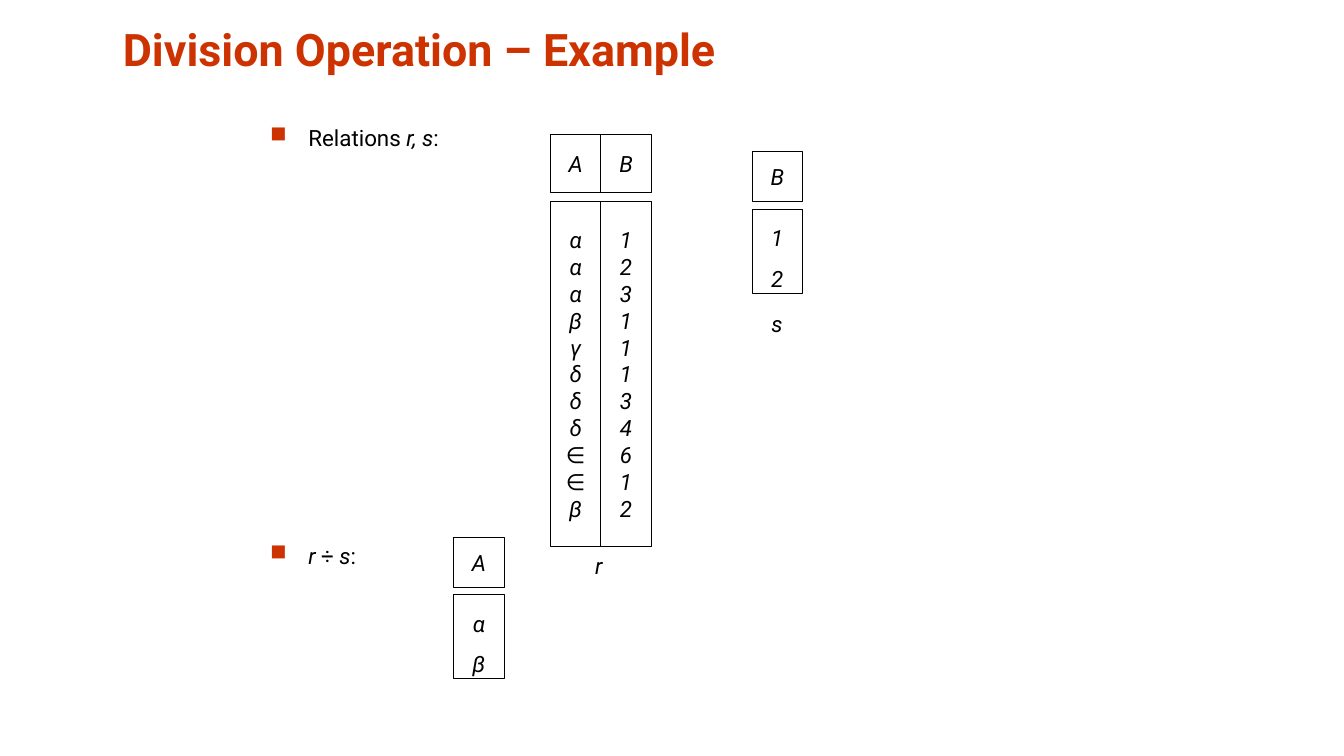
from lxml.etree import SubElement
from pptx import Presentation
from pptx.dml.color import RGBColor
from pptx.enum.shapes import MSO_SHAPE
from pptx.enum.text import MSO_ANCHOR, PP_ALIGN
from pptx.oxml.ns import qn
from pptx.util import Inches, Pt

RED = RGBColor(0xCC, 0x33, 0x00)
BLACK = RGBColor(0, 0, 0)
WHITE = RGBColor(0xFF, 0xFF, 0xFF)
FONT = "Roboto"
COLUMN_WIDTH = 0.5
BULLET_INDENT = 0.38


def style(font, size=16, color=BLACK, bold=False, italic=False):
    """Apply the slide's typeface with the given size, colour and emphasis."""
    font.name = FONT
    font.size = Pt(size)
    font.color.rgb = color
    font.bold = bold
    font.italic = italic


def add_text(slide, left, top, width, height, anchor, wrap=True):
    """Add an empty text box and return its text frame."""
    box = slide.shapes.add_textbox(*map(Inches, (left, top, width, height)))
    frame = box.text_frame
    frame.word_wrap = wrap
    frame.vertical_anchor = anchor
    return frame


def add_title(slide, left, top, width, height, wording):
    """Write the slide heading at the bottom of its box."""
    heading = add_text(slide, left, top, width, height, MSO_ANCHOR.BOTTOM).paragraphs[0]
    heading.text = wording
    style(heading.font, 32, RED, bold=True)


def add_bullet(slide, left, top, width, height, pieces):
    """Write a square-bulleted line from (wording, italic) pieces."""
    line = add_text(slide, left, top, width, height, MSO_ANCHOR.TOP).paragraphs[0]
    for wording, italic in pieces:
        run = line.add_run()
        run.text = wording
        style(run.font, italic=italic)
    properties = line._p.get_or_add_pPr()
    properties.set("marL", str(Inches(BULLET_INDENT)))
    properties.set("indent", str(-Inches(BULLET_INDENT)))
    bullet_color = SubElement(properties, qn("a:buClr"))
    SubElement(bullet_color, qn("a:srgbClr"), val=str(RED))
    SubElement(properties, qn("a:buChar"), char="■")


def add_cell(slide, left, top, height, values, spacing):
    """Draw one outlined box holding a centred value per line."""
    cell = slide.shapes.add_shape(
        MSO_SHAPE.RECTANGLE, *map(Inches, (left, top, COLUMN_WIDTH, height)))
    cell.shadow.inherit = False
    cell.fill.solid()
    cell.fill.fore_color.rgb = WHITE
    cell.line.color.rgb = BLACK
    cell.line.width = Pt(0.75)
    frame = cell.text_frame
    frame.word_wrap = False
    frame.vertical_anchor = MSO_ANCHOR.MIDDLE
    frame.text = "\n".join(values)
    for paragraph in frame.paragraphs:
        paragraph.alignment = PP_ALIGN.CENTER
        paragraph.line_spacing = spacing
        style(paragraph.font, italic=True)


def add_relation(slide, left, top, columns, header_height, body_top, body_height, spacing=1.0):
    """Draw a relation as attribute boxes above boxes of values."""
    for index, (attribute, values) in enumerate(columns):
        column_left = left + index * COLUMN_WIDTH
        add_cell(slide, column_left, top, header_height, [attribute], 1.0)
        add_cell(slide, column_left, top + body_top, body_height, values, spacing)


def add_relation_name(slide, left, top, width, height, name):
    """Write a relation's name centred in its box."""
    label = add_text(slide, left, top, width, height, MSO_ANCHOR.MIDDLE, wrap=False).paragraphs[0]
    label.text = name
    label.alignment = PP_ALIGN.CENTER
    style(label.font, italic=True)


def build_division_slide(presentation):
    """Lay out the operands and the result of the division."""
    slide = presentation.slides.add_slide(presentation.slide_layouts[6])
    add_title(slide, 1.12, 0.13, 11.78, 0.67, "Division Operation – Example")
    add_bullet(slide, 2.58, 1.18, 7.69, 0.36,
               [("Relations ", False), ("r, s", True), (":", False)])
    add_bullet(slide, 2.58, 5.33, 7.69, 0.36,
               [("r ", True), ("÷ ", False), ("s", True), (":", False)])
    add_relation(slide, 4.5, 5.33, [("A", "αβ")], 0.5, 0.57, 0.83, 1.5)
    add_relation(slide, 7.46, 1.5, [("B", "12")], 0.5, 0.58, 0.83, 1.5)
    add_relation(slide, 5.46, 1.33, [("A", "αααβγδδδ∈∈β"), ("B", "12311134612")],
                 0.58, 0.67, 3.42)
    add_relation_name(slide, 5.8, 5.43, 0.28, 0.37, "r")
    add_relation_name(slide, 7.55, 3.02, 0.31, 0.37, "s")


def main():
    """Build and save the presentation."""
    presentation = Presentation()
    presentation.slide_width = Inches(13.33)
    presentation.slide_height = Inches(7.5)
    build_division_slide(presentation)
    presentation.save("out.pptx")


if __name__ == "__main__":
    main()
